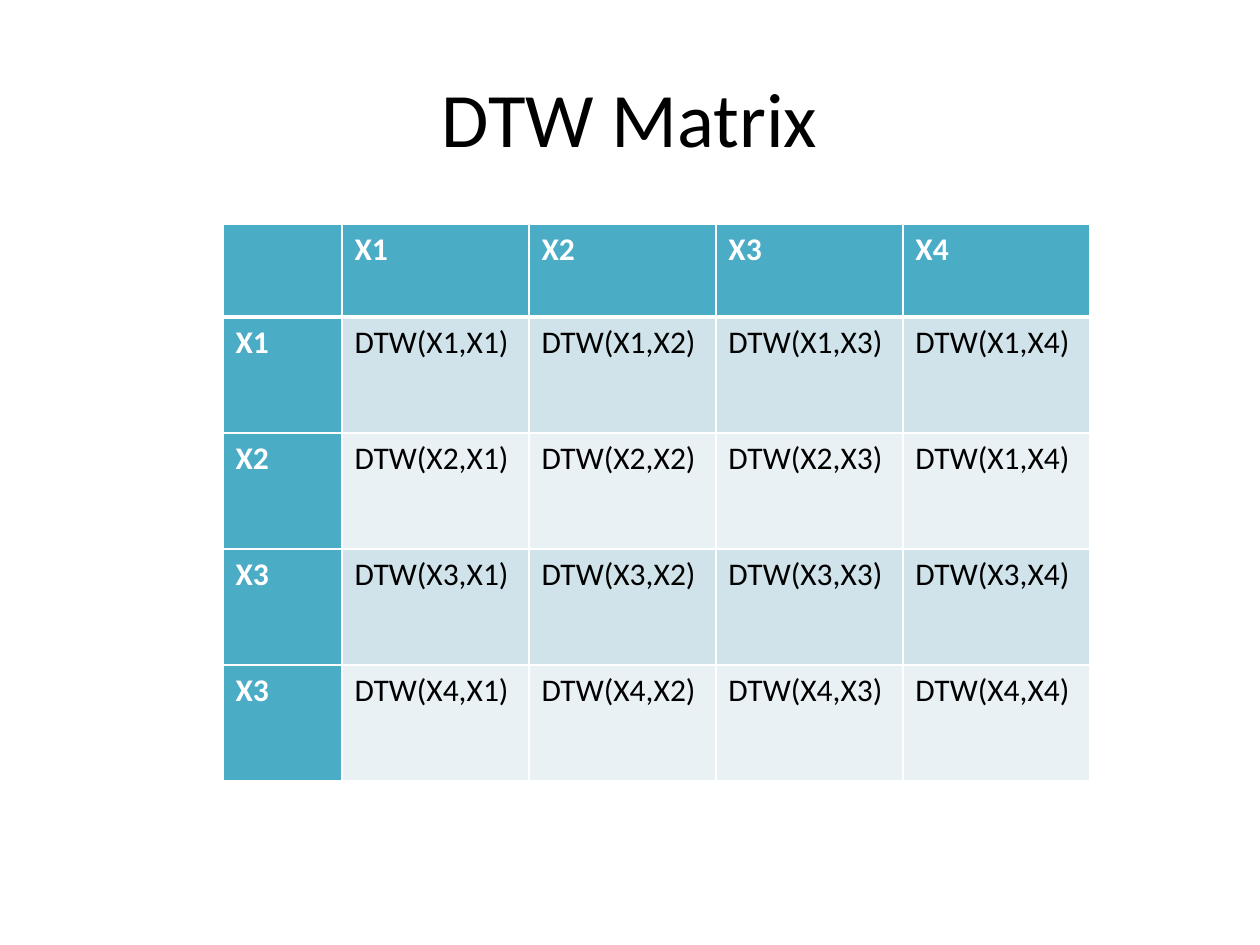
from lxml import etree
from pptx import Presentation
from pptx.dml.color import RGBColor
from pptx.enum.text import MSO_ANCHOR, PP_ALIGN
from pptx.oxml.ns import qn
from pptx.util import Emu, Pt

TITLE = "DTW Matrix"
MATRIX = [
    ["", "X1", "X2", "X3", "X4"],
    ["X1", "DTW(X1,X1)", "DTW(X1,X2)", "DTW(X1,X3)", "DTW(X1,X4)"],
    ["X2", "DTW(X2,X1)", "DTW(X2,X2)", "DTW(X2,X3)", "DTW(X1,X4)"],
    ["X3", "DTW(X3,X1)", "DTW(X3,X2)", "DTW(X3,X3)", "DTW(X3,X4)"],
    ["X3", "DTW(X4,X1)", "DTW(X4,X2)", "DTW(X4,X3)", "DTW(X4,X4)"],
]
COLUMN_WIDTHS = [119] + [187] * 4
ROW_HEIGHTS = [93] + [116] * 4
TABLE_LEFT, TABLE_TOP = 223, 224

FONT = "Calibri"
BLACK, WHITE, TEAL = "000000", "FFFFFF", "4BACC6"
BANDS = ["D0E3EA", "E9F1F5"]
CENTER, MIDDLE = PP_ALIGN.CENTER, MSO_ANCHOR.MIDDLE


def px(value):
    return Emu(round(value * 914400 / 126))


def color(hex_value):
    return RGBColor.from_string(hex_value)


def style_font(paragraph, size, hex_value, bold=False):
    font = paragraph.font
    font.name, font.size, font.bold = FONT, Pt(size), bold
    font.color.rgb = color(hex_value)


def add_borders(cell, widths):
    """Draw white cell borders; widths maps L, R, T, B to points, in that order."""
    properties = cell._tc.get_or_add_tcPr()
    for side, width in widths.items():
        line = etree.SubElement(properties, qn(f"a:ln{side}"), w=str(Pt(width)))
        fill = etree.SubElement(line, qn("a:solidFill"))
        etree.SubElement(fill, qn("a:srgbClr"), val=WHITE)


def add_title(slide):
    box = slide.shapes.add_textbox(px(63), px(38), px(1134), px(157))
    frame = box.text_frame
    frame.word_wrap = True
    frame.vertical_anchor = MIDDLE
    paragraph = frame.paragraphs[0]
    paragraph.text = TITLE
    paragraph.alignment = CENTER
    style_font(paragraph, 44, BLACK)


def add_matrix(slide):
    table = slide.shapes.add_table(
        len(ROW_HEIGHTS), len(COLUMN_WIDTHS), px(TABLE_LEFT), px(TABLE_TOP),
        px(sum(COLUMN_WIDTHS)), px(sum(ROW_HEIGHTS))).table
    table.first_col = True
    for column, width in zip(table.columns, COLUMN_WIDTHS):
        column.width = px(width)
    for row, height in zip(table.rows, ROW_HEIGHTS):
        row.height = px(height)

    for r, texts in enumerate(MATRIX):
        for c, text in enumerate(texts):
            cell = table.cell(r, c)
            is_header = r == 0 or c == 0
            add_borders(cell, {"L": 1, "R": 1, "T": 3 if r == 1 else 1,
                               "B": 3 if r == 0 else 1})
            cell.fill.solid()
            cell.fill.fore_color.rgb = color(TEAL if is_header else BANDS[(r - 1) % 2])
            paragraph = cell.text_frame.paragraphs[0]
            paragraph.text = text
            style_font(paragraph, 18, WHITE if is_header else BLACK, is_header)


def main():
    presentation = Presentation()
    presentation.slide_width, presentation.slide_height = px(1260), px(945)
    slide = presentation.slides.add_slide(presentation.slide_layouts[6])
    add_title(slide)
    add_matrix(slide)
    presentation.save("out.pptx")


if __name__ == "__main__":
    main()
